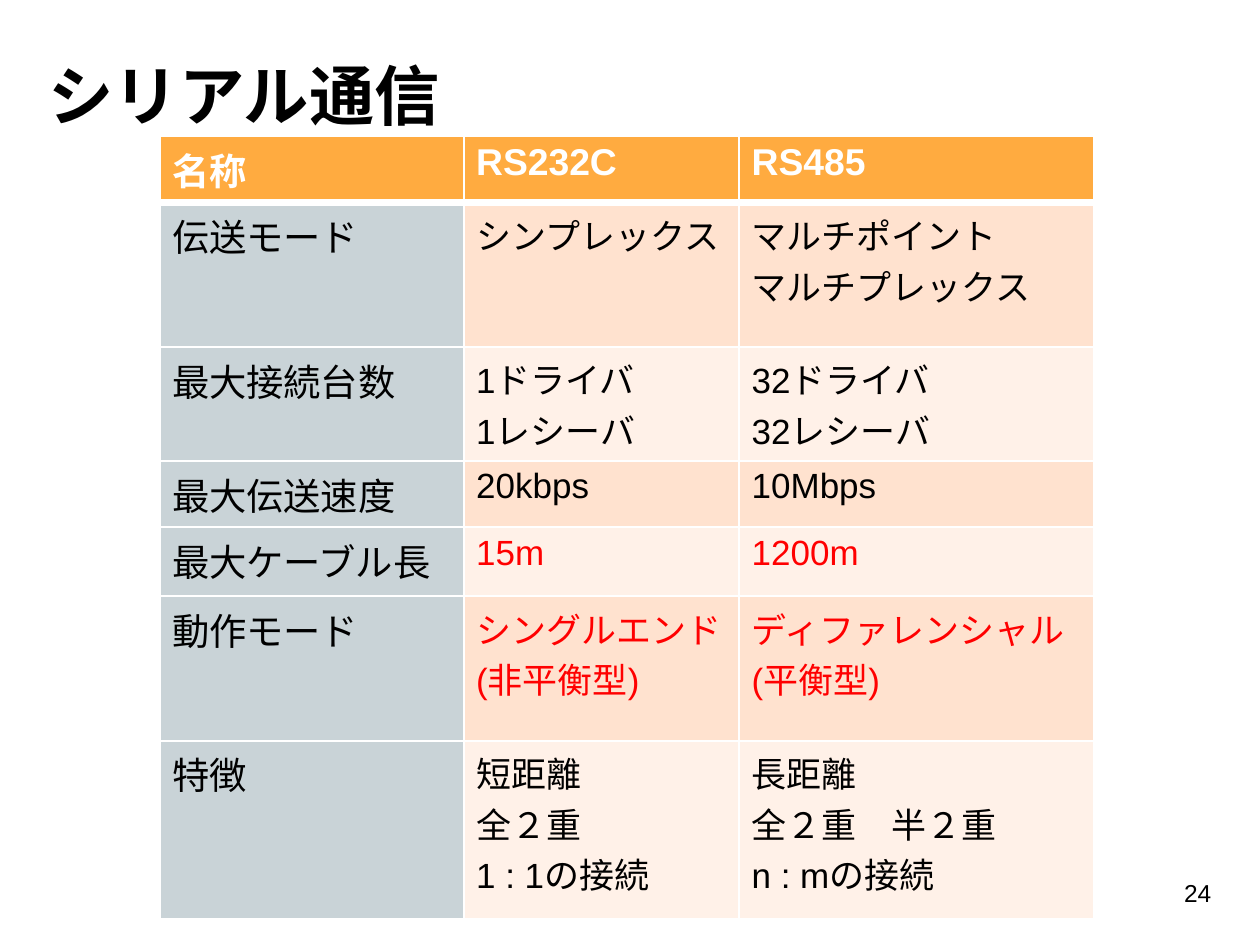
import pptx
import pptx.dml.color
import pptx.enum.text
import pptx.oxml
import pptx.oxml.ns
import pptx.util

Inches = pptx.util.Inches
Pt = pptx.util.Pt
RGBColor = pptx.dml.color.RGBColor
Anchor = pptx.enum.text.MSO_ANCHOR
Align = pptx.enum.text.PP_ALIGN

# Content: a line break inside a cell starts a new paragraph
TITLE = "シリアル通信"
PAGE_NUMBER = "24"
ROWS = [
    ("名称", "RS232C", "RS485"),
    ("伝送モード", "シンプレックス", "マルチポイント\nマルチプレックス"),
    ("最大接続台数", "1ドライバ\n1レシーバ", "32ドライバ\n32レシーバ"),
    ("最大伝送速度", "20kbps", "10Mbps"),
    ("最大ケーブル長", "15m", "1200m"),
    ("動作モード", "シングルエンド\n(非平衡型)", "ディファレンシャル\n(平衡型)"),
    ("特徴", "短距離\n全２重\n1 : 1の接続", "長距離\n全２重　半２重\nn : mの接続"),
]
HIGHLIGHTED_ROWS = (4, 5)

# Grid and style
SLIDE_WIDTH = Inches(7.5)
SLIDE_HEIGHT = SLIDE_WIDTH * 3 // 4
COLUMN_WIDTHS = (1.81, 1.64, 2.11)
ROW_HEIGHTS = (0.37, 0.86, 0.59, 0.37, 0.41, 0.86, 1.06)
FONT = "Arial"
BLACK = RGBColor(0x00, 0x00, 0x00)
WHITE = RGBColor(0xFF, 0xFF, 0xFF)
RED = RGBColor(0xFF, 0x00, 0x00)
ORANGE = RGBColor(0xFF, 0xAB, 0x40)
GREY = RGBColor(0xC9, 0xD3, 0xD7)
BANDS = (RGBColor(0xFF, 0xF1, 0xE8), RGBColor(0xFF, 0xE2, 0xCF))


def format_text(text_frame, text, size, color, bold=False):
    text_frame.text = text
    for paragraph in text_frame.paragraphs:
        paragraph.alignment = Align.LEFT
        font = paragraph.font
        font.name, font.size, font.bold = FONT, Pt(size), bold
        font.color.rgb = color


def set_margins(frame, horizontal, vertical):
    frame.margin_left = frame.margin_right = Pt(horizontal)
    frame.margin_top = frame.margin_bottom = Pt(vertical)


def set_borders(cell, top, bottom):
    properties = cell._tc.get_or_add_tcPr()
    widths = {"lnL": 1, "lnR": 1, "lnT": top, "lnB": bottom}
    for index, (side, width) in enumerate(widths.items()):
        properties.insert(index, pptx.oxml.parse_xml(
            f'<a:{side} {pptx.oxml.ns.nsdecls("a")} w="{Pt(width)}">'
            f'<a:solidFill><a:srgbClr val="{WHITE}"/></a:solidFill></a:{side}>'))


def cell_style(row, column):
    """Return fill, text size, text colour and weight."""
    if row == 0:
        return ORANGE, 16, WHITE, True
    if column == 0:
        return GREY, 16, BLACK, False
    return BANDS[row % 2], 15, RED if row in HIGHLIGHTED_ROWS else BLACK, False


presentation = pptx.Presentation()
presentation.slide_width = SLIDE_WIDTH
presentation.slide_height = SLIDE_HEIGHT
slide = presentation.slides.add_slide(presentation.slide_layouts[5])

# Title
title = slide.shapes.title
title.left, title.top = Inches(0.19), Inches(0.23)
title.width, title.height = Inches(6.99), Inches(0.47)
format_text(title.text_frame, TITLE, 28, BLACK, True)
set_margins(title.text_frame, 7.2, 7.2)
title.text_frame.vertical_anchor = Anchor.TOP
title.text_frame.auto_size = pptx.enum.text.MSO_AUTO_SIZE.NONE

# Comparison table
table = slide.shapes.add_table(
    len(ROWS), len(COLUMN_WIDTHS), Inches(0.95), Inches(0.81),
    Inches(sum(COLUMN_WIDTHS)), Inches(sum(ROW_HEIGHTS))).table
table.horz_banding = False
for column, width in zip(table.columns, COLUMN_WIDTHS):
    column.width = Inches(width)
for row, height in zip(table.rows, ROW_HEIGHTS):
    row.height = Inches(height)
for row_index, texts in enumerate(ROWS):
    for column_index, text in enumerate(texts):
        cell = table.cell(row_index, column_index)
        fill, size, color, bold = cell_style(row_index, column_index)
        cell.fill.solid()
        cell.fill.fore_color.rgb = fill
        set_margins(cell, 5.4, 2.7)
        format_text(cell.text_frame, text, size, color, bold)
        set_borders(cell, top=3 if row_index == 1 else 1,
                    bottom=3 if row_index == 0 else 1)

# Page number
page_box = slide.shapes.add_textbox(
    Inches(6.95), Inches(5.1), Inches(0.45), Inches(0.43))
format_text(page_box.text_frame, PAGE_NUMBER, 10.5, BLACK)
set_margins(page_box.text_frame, 7.2, 7.2)
page_box.text_frame.word_wrap = True
page_box.text_frame.vertical_anchor = Anchor.MIDDLE

presentation.save("out.pptx")
